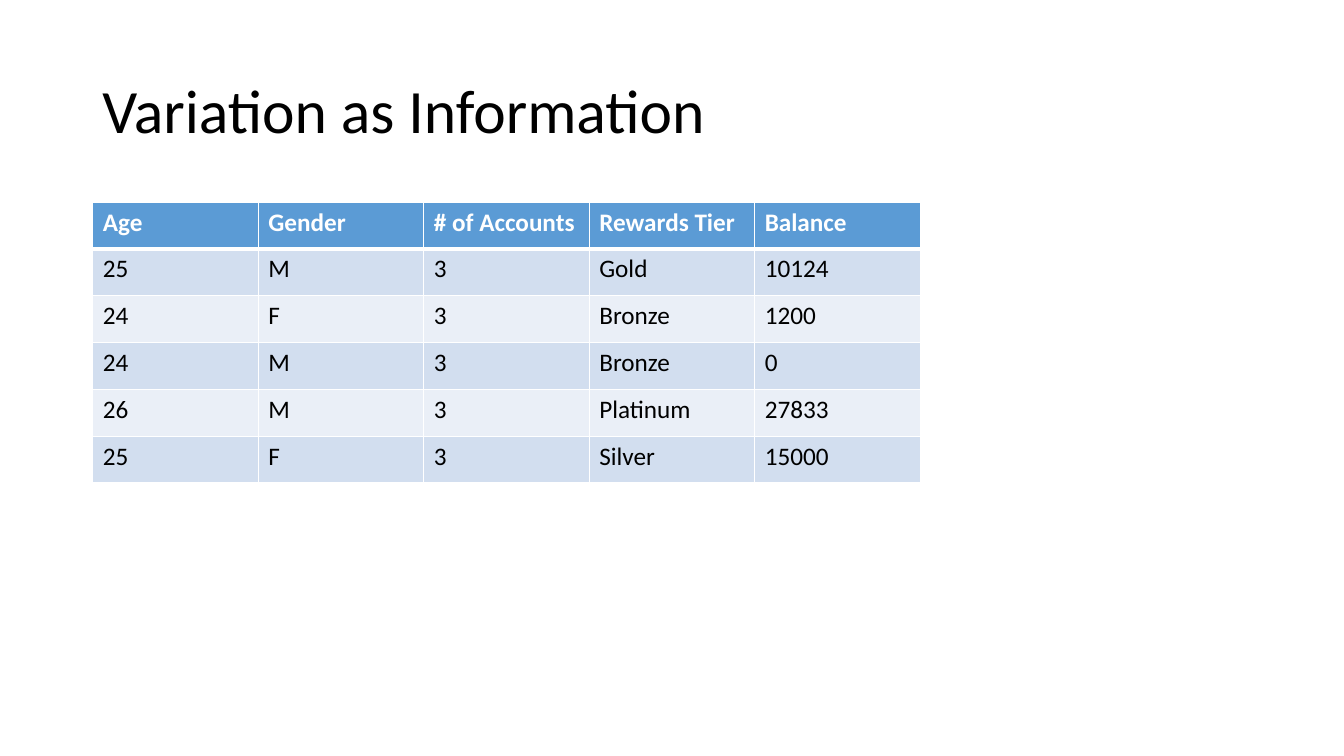
import pptx
import pptx.util
import pptx.dml.color
import pptx.enum.text
import lxml.etree
from pptx.util import Cm


def color(hex_code):
    return pptx.dml.color.RGBColor.from_string(hex_code)


def write(frame, text, size=18, ink="000000", bold=False, spacing=1.0):
    paragraph = frame.paragraphs[0]
    paragraph.line_spacing = spacing
    run = paragraph.add_run()
    run.text = text
    run.font.name = "Calibri"
    run.font.size = pptx.util.Pt(size)
    run.font.bold = bold
    run.font.color.rgb = color(ink)


deck = pptx.Presentation()
deck.slide_width = Cm(33.87)
deck.slide_height = Cm(19.05)
slide = deck.slides.add_slide(deck.slide_layouts[6])

title = slide.shapes.add_textbox(Cm(2.33), Cm(1.01), Cm(29.21), Cm(3.68)).text_frame
title.word_wrap = True
title.vertical_anchor = pptx.enum.text.MSO_ANCHOR.MIDDLE
write(title, "Variation as Information", size=44, spacing=0.9)

customers = [
    ["Age", "Gender", "# of Accounts", "Rewards Tier", "Balance"],
    ["25", "M", "3", "Gold", "10124"],
    ["24", "F", "3", "Bronze", "1200"],
    ["24", "M", "3", "Bronze", "0"],
    ["26", "M", "3", "Platinum", "27833"],
    ["25", "F", "3", "Silver", "15000"],
]
row_count, column_count = len(customers), len(customers[0])
column_width, row_height = Cm(4.17), Cm(1.18)
customer_table = slide.shapes.add_table(
    row_count, column_count, Cm(2.34), Cm(5.09),
    column_width * column_count, row_height * row_count,
).table
for column in customer_table.columns:
    column.width = column_width
for row in customer_table.rows:
    row.height = row_height

for r, values in enumerate(customers):
    is_header = r == 0
    row_fill = "5B9BD5" if is_header else ("EAEFF7", "D2DEEF")[r % 2]
    border_widths = {"lnL": 1, "lnR": 1, "lnT": 3 if r == 1 else 1, "lnB": 3 if is_header else 1}
    for c, value in enumerate(values):
        cell = customer_table.cell(r, c)
        write(cell.text_frame, value, ink="FFFFFF" if is_header else "000000", bold=is_header)
        properties = cell._tc.get_or_add_tcPr()
        for side, width in border_widths.items():
            border = lxml.etree.SubElement(properties, pptx.oxml.ns.qn("a:" + side), w=str(pptx.util.Pt(width)))
            border_fill = lxml.etree.SubElement(border, pptx.oxml.ns.qn("a:solidFill"))
            lxml.etree.SubElement(border_fill, pptx.oxml.ns.qn("a:srgbClr"), val="FFFFFF")
        cell.fill.solid()
        cell.fill.fore_color.rgb = color(row_fill)

deck.save("out.pptx")
